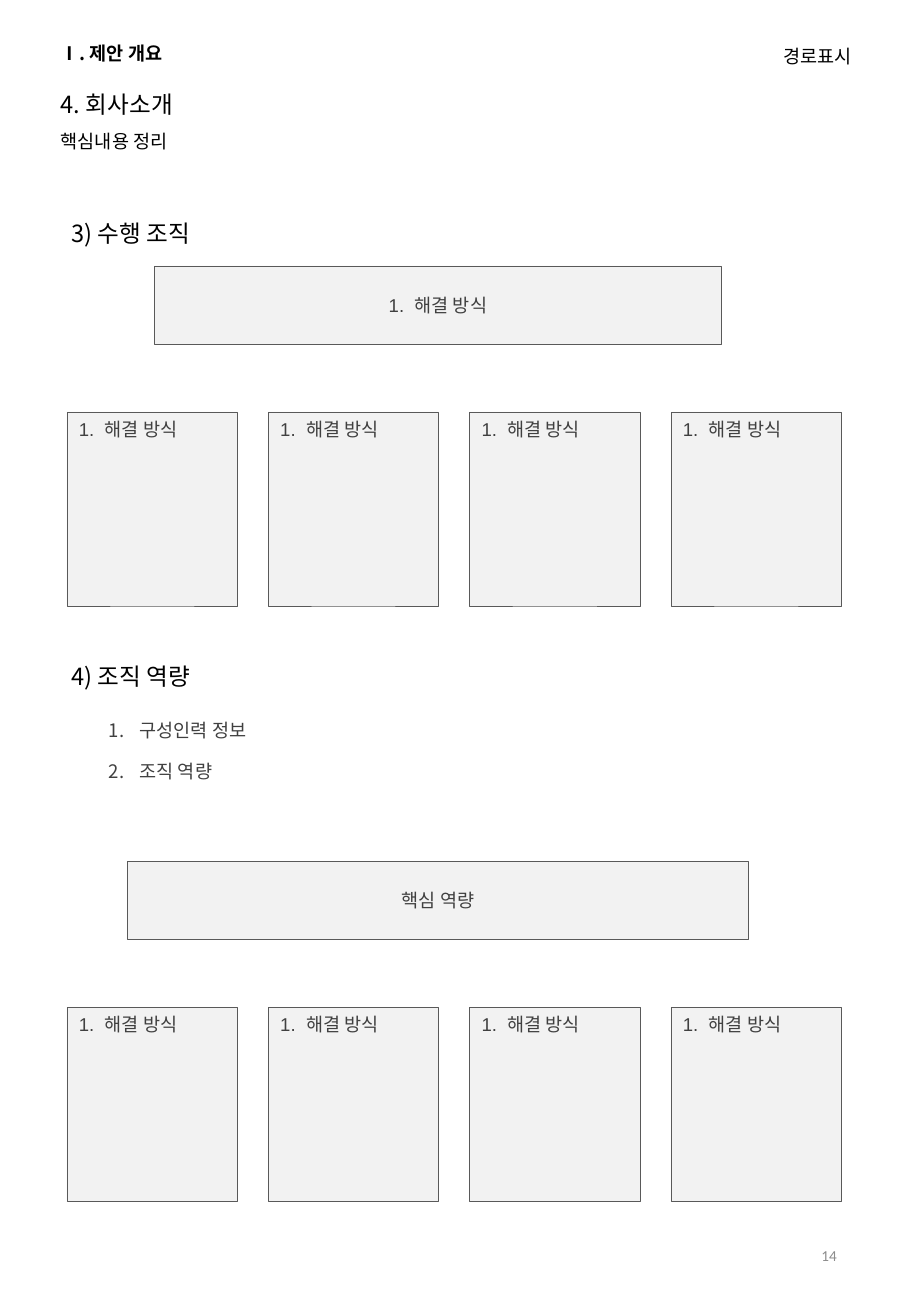
import pptx
import pptx.util
import pptx.dml.color
import pptx.enum.shapes
import pptx.enum.text
import pptx.oxml
import pptx.oxml.ns

Cm = pptx.util.Cm
Pt = pptx.util.Pt
ALIGN = pptx.enum.text.PP_ALIGN
ANCHOR = pptx.enum.text.MSO_ANCHOR
FIT = pptx.enum.text.MSO_AUTO_SIZE

THEME = {
    "ink": "000000", "body": "404040", "panel": "F2F2F2", "border": "595959", "muted": "8C8C8C",
    "heading_size": 14, "body_size": 11, "number_size": 9,
    "heading_font": "Noto Sans CJK KR", "chapter_font": "Noto Sans CJK JP",
    "body_font": "Arial", "number_font": "Calibri",
}


def color(name):
    return pptx.dml.color.RGBColor.from_string(THEME[name])


def write(shape, lines, style, ink, size, align=ALIGN.LEFT, anchor=ANCHOR.TOP, fit=FIT.NONE, bold=False):
    frame = shape.text_frame
    frame.text = "\n".join(lines)
    for name, value in {"word_wrap": True, "auto_size": fit, "vertical_anchor": anchor}.items():
        setattr(frame, name, value)
    east_asian = THEME[style] if style == "chapter_font" else THEME["heading_font"]
    for paragraph in frame.paragraphs:
        paragraph.alignment = align
        font = paragraph.runs[0].font
        for name, value in {"name": THEME[style], "size": Pt(THEME[size]), "bold": bold}.items():
            setattr(font, name, value)
        font.color.rgb = color(ink)
        properties = paragraph.runs[0]._r.get_or_add_rPr()
        pptx.oxml.ns.qn("a:ea")
        properties.append(pptx.oxml.parse_xml(
            f'<a:ea {pptx.oxml.ns.nsdecls("a")} typeface="{east_asian}"/>'))


presentation = pptx.Presentation()
presentation.slide_width = Cm(19.05)
presentation.slide_height = Cm(27.51)
slide = presentation.slides.add_slide(presentation.slide_layouts[6])

labels = [
    ("Ⅰ. 제안 개요", 1.02, 0.76, 8.69, 0.74, "body_size", {"style": "chapter_font", "bold": True}),
    ("경로표시", 13.84, 0.81, 4.22, 0.74, "body_size", {"align": ALIGN.RIGHT}),
    ("4. 회사소개", 1.02, 1.75, 16.84, 0.86, "heading_size", {}),
    ("핵심내용 정리", 1.02, 2.59, 16.84, 0.74, "body_size", {}),
    ("3) 수행 조직", 1.24, 4.45, 16.05, 0.86, "heading_size", {}),
    ("4) 조직 역량", 1.24, 13.72, 16.05, 0.86, "heading_size", {}),
]
for text, left, top, width, height, size, extra in labels:
    label = slide.shapes.add_textbox(Cm(left), Cm(top), Cm(width), Cm(height))
    write(label, [text], **{"style": "heading_font", "ink": "ink", "size": size,
                            "fit": FIT.SHAPE_TO_FIT_TEXT, **extra})

capability_list = slide.shapes.add_textbox(Cm(2.03), Cm(14.91), Cm(14.76), Cm(2.57))
write(capability_list, ["구성인력 정보", "조직 역량"], "body_font", "body", "body_size")
for paragraph in capability_list.text_frame.paragraphs:
    properties = paragraph._p.get_or_add_pPr()
    properties.set("marL", str(Cm(0.64)))
    properties.set("indent", str(Cm(-0.64)))
    properties.append(pptx.oxml.parse_xml(
        f'<a:buAutoNum {pptx.oxml.ns.nsdecls("a")} type="arabicPeriod"/>'))
capability_list.text_frame.paragraphs[1].space_before = Pt(11)

centred = {"align": ALIGN.CENTER, "anchor": ANCHOR.MIDDLE}
method = "1.  해결 방식"
panels = [
    (method, 3.23, 5.56, 11.86, 1.63, centred),
    ("핵심 역량", 2.67, 18.01, 12.98, 1.63, centred),
]
for row_top in (8.61, 21.06):
    for column in range(4):
        panels.append((method, 1.4 + column * 4.21, row_top, 3.56, 4.06, {}))

for text, left, top, width, height, extra in panels:
    panel = slide.shapes.add_shape(pptx.enum.shapes.MSO_SHAPE.RECTANGLE,
                                   Cm(left), Cm(top), Cm(width), Cm(height))
    panel.shadow.inherit = False
    panel.fill.solid()
    panel.fill.fore_color.rgb = color("panel")
    panel.line.color.rgb = color("border")
    panel.line.width = Pt(0.25)
    write(panel, [text], "body_font", "body", "body_size", **extra)

page_number = slide.shapes.add_textbox(Cm(13.46), Cm(25.5), Cm(4.29), Cm(1.47))
write(page_number, ["14"], "number_font", "muted", "number_size", ALIGN.RIGHT, ANCHOR.MIDDLE)

presentation.save("out.pptx")
